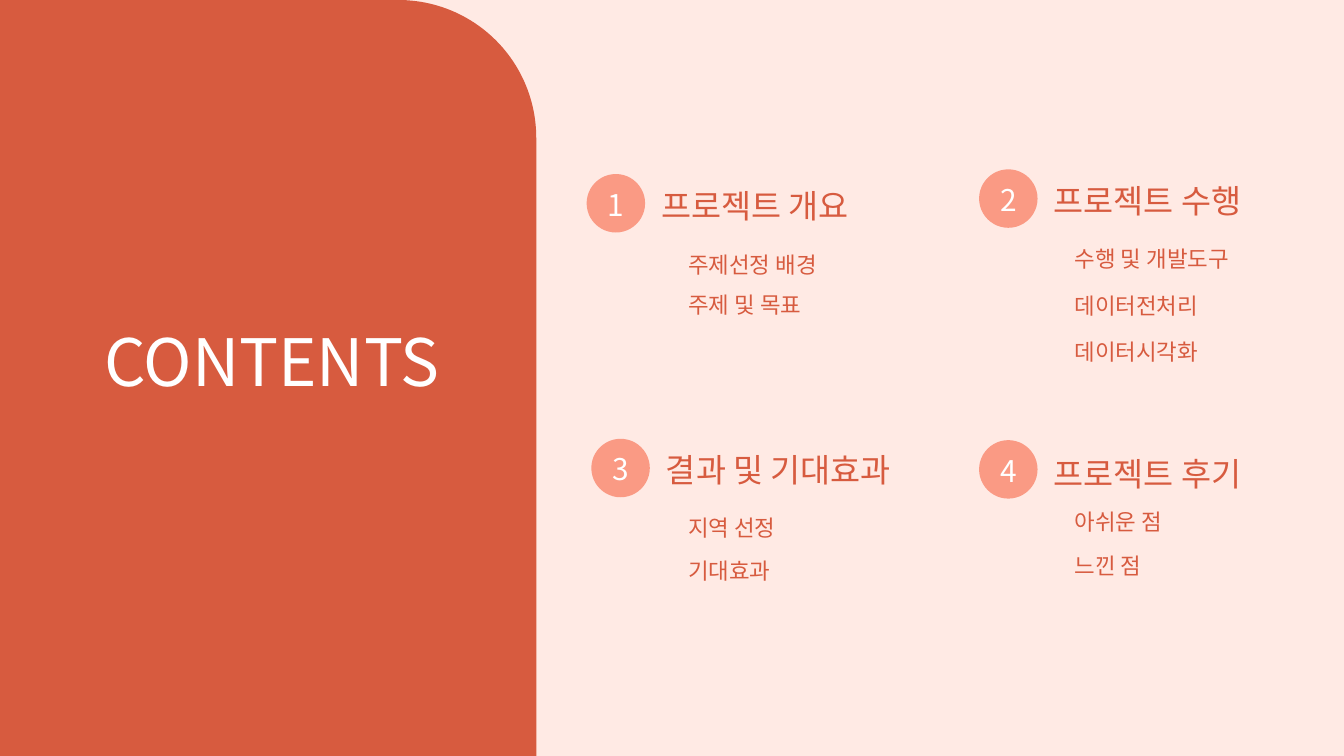
from pptx import Presentation
from pptx.dml.color import RGBColor
from pptx.enum.shapes import MSO_SHAPE
from pptx.enum.text import MSO_ANCHOR, MSO_AUTO_SIZE, PP_ALIGN
from pptx.oxml.ns import qn
from pptx.util import Inches, Pt
from lxml.etree import SubElement

FONT = "Noto Sans CJK KR"
RUST, CORAL, BLUSH, WHITE = "D75B3F", "FA9A84", "FFEAE4", "FFFFFF"
LINE = 42
DOT = 0.87

# left, top, heading drop, list indent, list drop, list pitch, heading, items
PARTS = [
    (8.73, 2.59, 0.17, 1.51, 0.97, 0.58, "프로젝트 개요",
     ["주제선정 배경", "주제 및 목표"]),
    (14.57, 2.52, 0.17, 1.42, 0.95, 0.69, "프로젝트 수행",
     ["수행 및 개발도구", "데이터전처리", "데이터시각화"]),
    (8.8, 6.53, 0.16, 1.44, 0.93, 0.65, "결과 및 기대효과",
     ["지역 선정", "기대효과"]),
    (14.57, 6.55, 0.2, 1.42, 0.83, 0.65, "프로젝트 후기",
     ["아쉬운 점", "느낀 점"]),
]


def paint(fill, color):
    """Give a fill one solid hex colour."""
    fill.solid()
    fill.fore_color.rgb = RGBColor.from_string(color)


def place(shape, left, top, width, height):
    """Move and size a shape, in inches."""
    shape.left, shape.top = Inches(left), Inches(top)
    shape.width, shape.height = Inches(width), Inches(height)


def write(shape, lines, size, color, leading=LINE, gap=0,
          align=PP_ALIGN.LEFT, anchor=MSO_ANCHOR.TOP, wrap=True):
    """Fill a shape with plain paragraphs, one run each."""
    frame = shape.text_frame
    frame.auto_size = MSO_AUTO_SIZE.NONE
    frame.word_wrap = wrap
    frame.vertical_anchor = anchor
    frame.margin_left = frame.margin_right = 0
    frame.margin_top = frame.margin_bottom = 0
    for i, line in enumerate(lines):
        para = frame.add_paragraph() if i else frame.paragraphs[0]
        props = para._p.get_or_add_pPr()
        props.set("marL", "0")
        props.set("indent", "0")
        SubElement(props, qn("a:buNone"))
        para.alignment = align
        para.line_spacing = Pt(leading)
        para.space_before = Pt(gap if i else 0)
        para.space_after = Pt(0)
        run = para.add_run()
        run.text = line
        font = run.font
        font.name, font.size, font.bold = FONT, Pt(size), False
        font.color.rgb = RGBColor.from_string(color)
        SubElement(font._element, qn("a:ea")).set("typeface", FONT)


def add_form(slide, kind, color, box):
    """Add a flat filled preset shape."""
    shape = slide.shapes.add_shape(kind, *map(Inches, box))
    shape.shadow.inherit = False
    paint(shape.fill, color)
    shape.line.fill.background()
    return shape


def add_panel(slide, left, top, width, height):
    """Draw the side panel with one round corner and its title."""
    panel = add_form(slide, MSO_SHAPE.ROUND_1_RECTANGLE, RUST,
                     (left, top, width, height))
    panel.adjustments[0] = 2.05 / width
    slide.shapes._spTree.insert(2, panel._element)
    title = slide.shapes.title
    place(title, left + 1.26, top + 4.58, 5.57, 1.37)
    write(title, ["CONTENTS"], 70, WHITE, 98, align=PP_ALIGN.CENTER)


def add_part(slide, body, num, part):
    """Draw one numbered heading with its list."""
    left, top, drop, inset, fall, pitch, head, items = part
    dot = add_form(slide, MSO_SHAPE.OVAL, CORAL, (left, top, DOT, DOT))
    write(dot, [str(num)], 32, WHITE, 44.8, align=PP_ALIGN.CENTER,
          anchor=MSO_ANCHOR.MIDDLE, wrap=False)
    dot.text_frame.margin_bottom = Inches(0.06)
    label = slide.shapes.add_textbox(0, 0, 0, 0)
    place(label, left + 1.11, top + drop, 4.01, 0.59)
    write(label, [head], 35, RUST)
    place(body, left + inset, top + fall, 4.01, pitch * len(items))
    write(body, items, 24, RUST, gap=round(max(0, pitch * 72 - LINE), 1))


def main():
    """Build and save the contents slide."""
    deck = Presentation()
    deck.slide_width, deck.slide_height = Inches(20), Inches(11.25)
    slide = deck.slides.add_slide(deck.slide_layouts[4])
    paint(slide.background.fill, BLUSH)
    bodies = list(slide.placeholders)[1:]
    add_panel(slide, 0, 0, 7.98, 11.25)
    for num, (body, part) in enumerate(zip(bodies, PARTS), 1):
        add_part(slide, body, num, part)
    deck.save("out.pptx")


if __name__ == "__main__":
    main()
